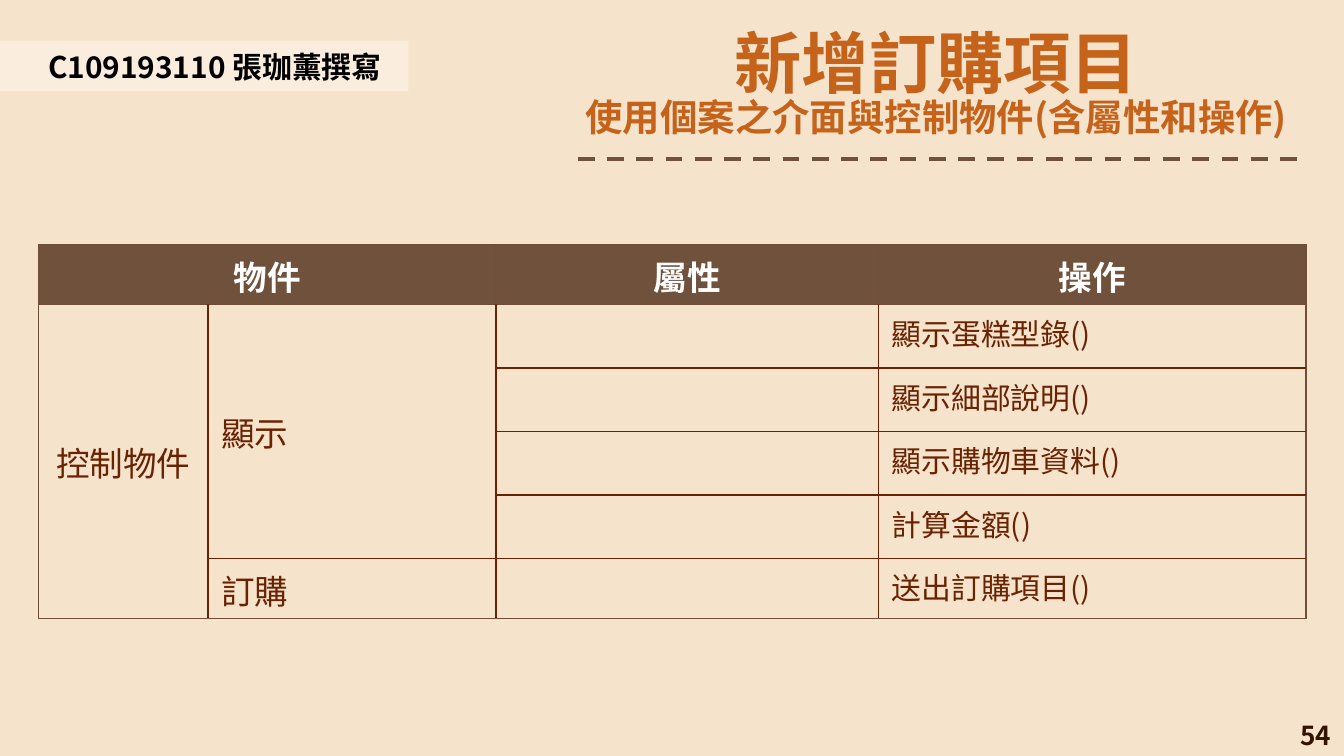
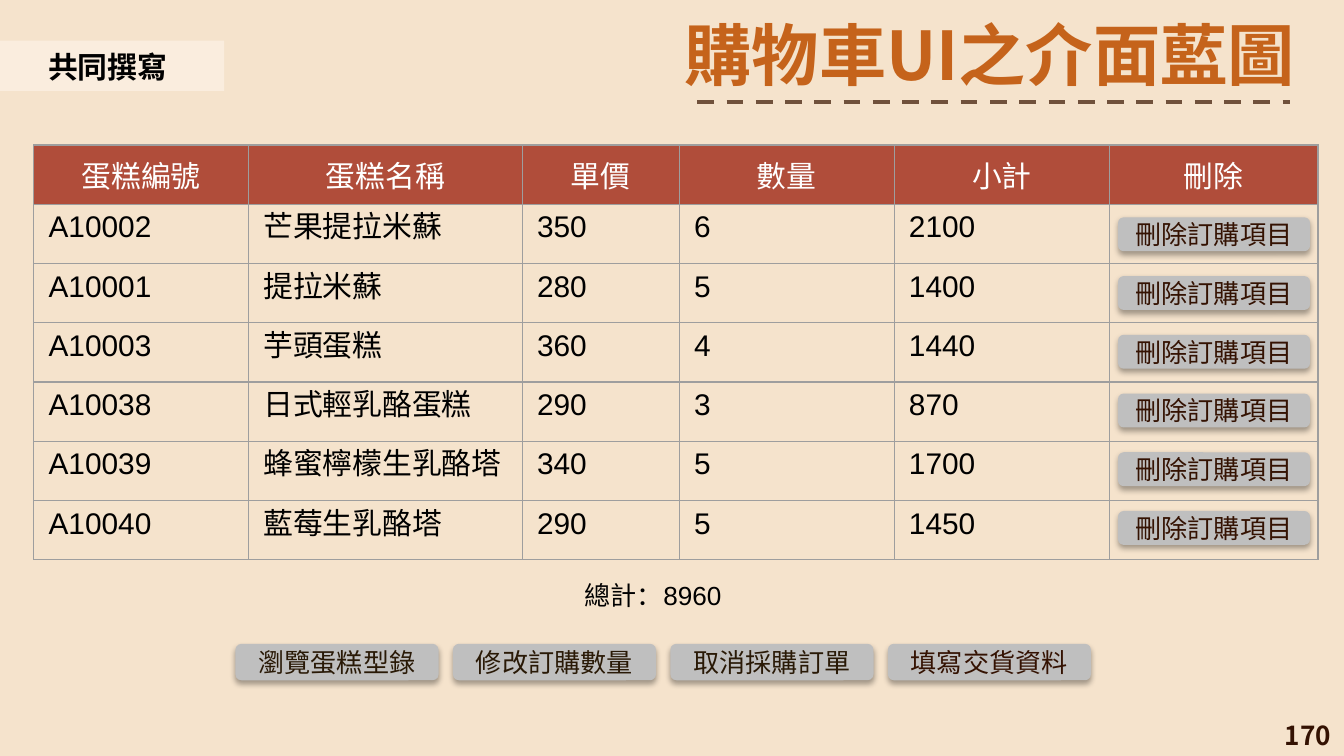
from dataclasses import dataclass
from typing import NamedTuple

from lxml import etree
from pptx import Presentation
from pptx import util as u
from pptx.dml.color import RGBColor
from pptx.enum import dml, shapes, text
from pptx.oxml.ns import qn

# Shared look
SANS, ARIAL = "Noto Sans CJK SC", "Arial"
CREAM, BAND, ORANGE, BROWN = "F5E3CC", "FAEDDE", "C5631B", "70513B"
TRIM, RUST, BRICK, GRID = "6F4F38", "692303", "B04D3A", "9E9E9E"
GREY, INK, OLIVE, BLACK, WHITE = "BFBFBF", "341202", "291906", "000000", "FFFFFF"
LEFT, CENTER, RIGHT, JUSTIFY = (text.PP_ALIGN.LEFT, text.PP_ALIGN.CENTER,
                                text.PP_ALIGN.RIGHT, text.PP_ALIGN.JUSTIFY)
TOP, MIDDLE = text.MSO_ANCHOR.TOP, text.MSO_ANCHOR.MIDDLE


class Box(NamedTuple):
    """Left, top, width and height in centimetres."""
    x: float
    y: float
    w: float
    h: float

    def emu(self) -> list:
        return [u.Cm(v) for v in self]


class Edge(NamedTuple):
    color: str
    width: float


@dataclass
class Heading:
    title: str
    box: Box
    rule_y: float
    rule_x: tuple[float, float]
    subtitle: str = ""


@dataclass
class Author:
    name: str
    band_w: float
    label_w: float


@dataclass
class Button:
    label: str
    box: Box
    color: str = INK


def rgb(color: str) -> RGBColor:
    return RGBColor.from_string(color)


def write(p, words: str, *, size: float, color: str, font: str = SANS,
          bold: bool = False, align=LEFT, spacing: float = 1.0) -> None:
    """Add one formatted run to a paragraph."""
    p.alignment, p.line_spacing = align, spacing
    r = p.add_run()
    r.text = words
    r.font.size, r.font.bold, r.font.name = u.Pt(size), bold, font
    r.font.color.rgb = rgb(color)
    etree.SubElement(r.font._element, qn("a:ea"), typeface=font)


def add_label(s, box: Box, words: str, anchor=TOP, **fmt) -> None:
    tf = s.shapes.add_textbox(*box.emu()).text_frame
    tf.word_wrap, tf.vertical_anchor = True, anchor
    write(tf.paragraphs[0], words, **fmt)


def add_block(s, kind, box: Box, fill: str):
    sp = s.shapes.add_shape(kind, *box.emu())
    sp.shadow.inherit = False
    sp.fill.solid()
    sp.fill.fore_color.rgb = rgb(fill)
    sp.line.fill.background()
    return sp


def add_heading(s, head: Heading) -> None:
    """Format the title placeholder and draw the dashed rule under it."""
    sp = s.shapes.title
    sp.left, sp.top, sp.width, sp.height = head.box.emu()
    tf = sp.text_frame
    tf.word_wrap, tf.vertical_anchor = True, TOP
    tf.auto_size = text.MSO_AUTO_SIZE.NONE
    tf.margin_left = tf.margin_right = tf.margin_top = tf.margin_bottom = u.Cm(0.25)
    fmt = dict(color=ORANGE, bold=True, align=CENTER)
    write(tf.paragraphs[0], head.title, size=36, spacing=0.9, **fmt)
    if head.subtitle:
        write(tf.add_paragraph(), head.subtitle, size=20, spacing=0.8, **fmt)

    x1, x2 = (u.Cm(x) for x in head.rule_x)
    y = u.Cm(head.rule_y)
    rule = s.shapes.add_connector(shapes.MSO_CONNECTOR.STRAIGHT, x1, y, x2, y)
    rule.line.color.rgb, rule.line.width = rgb(BROWN), u.Pt(2.25)
    rule.line.dash_style = dml.MSO_LINE.DASH
    etree.SubElement(rule._element.spPr, qn("a:effectLst"))


def add_slide(prs, number: int, head: Heading, author: Author):
    """Start a slide with its page number, heading and author band."""
    s = prs.slides.add_slide(prs.slide_layouts[5])
    add_label(s, Box(19.69, 13.51, 5.72, 0.76), str(number), MIDDLE,
              size=14, color=INK, bold=True, align=RIGHT)
    add_heading(s, head)
    add_block(s, shapes.MSO_SHAPE.RECTANGLE, Box(0, 0.77, author.band_w, 0.95), BAND)
    add_label(s, Box(0.66, 0.79, author.label_w, 0.94), author.name,
              size=16, color=BLACK, bold=True)
    return s


def add_button(s, button: Button) -> None:
    sp = add_block(s, shapes.MSO_SHAPE.ROUNDED_RECTANGLE, button.box, GREY)
    effects = sp._element.spPr.find(qn("a:effectLst"))
    shadow = etree.SubElement(effects, qn("a:outerShdw"), blurRad=str(u.Pt(3.1)),
                              dist=str(u.Pt(1.8)), dir="5400000", rotWithShape="0")
    tone = etree.SubElement(shadow, qn("a:srgbClr"), val=BLACK)
    etree.SubElement(tone, qn("a:alpha"), val="35000")
    sp.text_frame.vertical_anchor = MIDDLE
    write(sp.text_frame.paragraphs[0], button.label, size=14, color=button.color,
          font=ARIAL, align=CENTER)


# Tables
def add_grid(s, x: float, y: float, cols: list[float], rows: list[float]):
    box = Box(x, y, sum(cols), sum(rows))
    tbl = s.shapes.add_table(len(rows), len(cols), *box.emu()).table
    tbl.first_row = tbl.horz_banding = False
    for col, w in zip(tbl.columns, cols):
        col.width = u.Cm(w)
    for row, h in zip(tbl.rows, rows):
        row.height = u.Cm(h)
    return tbl


def style_cell(cell, fill: str | None, edges: list[Edge]) -> None:
    """Set the fill and the left, right, top and bottom borders."""
    if fill:
        cell.fill.solid()
        cell.fill.fore_color.rgb = rgb(fill)
    else:
        cell.fill.background()
    tcPr = cell._tc.get_or_add_tcPr()
    for i, (side, edge) in enumerate(zip("LRTB", edges)):
        ln = etree.Element(qn(f"a:ln{side}"), w=str(u.Pt(edge.width)))
        solid = etree.SubElement(ln, qn("a:solidFill"))
        etree.SubElement(solid, qn("a:srgbClr"), val=edge.color)
        tcPr.insert(i, ln)


def build_objects(prs) -> None:
    s = add_slide(
        prs, 54,
        Heading("新增訂購項目", Box(10.19, 0.33, 15.01, 2.77), 3.0, (10.92, 24.61),
                "使用個案之介面與控制物件(含屬性和操作)"),
        Author("C109193110 張珈薰撰寫", 7.72, 7.04))
    tbl = add_grid(s, 0.73, 4.62, [3.2, 5.44, 7.23, 8.08],
                   [1.14, 1.2, 1.2, 1.2, 1.2, 1.14])
    for first, last in (((0, 0), (0, 1)), ((1, 0), (5, 0)), ((1, 1), (4, 1))):
        tbl.cell(*first).merge(tbl.cell(*last))

    # Trim around the header and the outside, rust lines within
    outer, inner = Edge(TRIM, 0.75), Edge(RUST, 1)
    for r in range(6):
        for c in range(4):
            cell = tbl.cell(r, c)
            on_edge = (c == 0, c == 3, r <= 1, r + cell.span_height >= 6)
            style_cell(cell, None if r else BROWN,
                       [outer if r == 0 or e else inner for e in on_edge])

    for c, name in ((0, "物件"), (2, "屬性"), (3, "操作")):
        write(tbl.cell(0, c).text_frame.paragraphs[0], name,
              size=18, color=WHITE, bold=True, align=CENTER)
    for r, c, name in ((1, 0, "控制物件"), (1, 1, "顯示"), (5, 1, "訂購")):
        cell = tbl.cell(r, c)
        cell.vertical_anchor = MIDDLE
        write(cell.text_frame.paragraphs[0], name, size=18, color=RUST,
              align=LEFT if c else CENTER)
    tbl.cell(1, 0)._tc.get_or_add_tcPr().set("vert", "eaVert")
    operations = ["顯示蛋糕型錄()", "顯示細部說明()", "顯示購物車資料()",
                  "計算金額()", "送出訂購項目()"]
    for r, name in enumerate(operations, 1):
        write(tbl.cell(r, 3).text_frame.paragraphs[0], name, size=16, color=RUST)


def build_cart(prs) -> None:
    s = add_slide(
        prs, 170,
        Heading("購物車UI之介面藍圖", Box(11.2, 0.18, 15.01, 1.88), 1.93, (13.18, 24.38)),
        Author("共同撰寫", 4.24, 2.9))

    # Cart contents
    cart = [
        ("蛋糕編號", "蛋糕名稱", "單價", "數量", "小計", "刪除"),
        ("A10002", "芒果提拉米蘇", "350", "6", "2100", ""),
        ("A10001", "提拉米蘇", "280", "5", "1400", ""),
        ("A10003", "芋頭蛋糕", "360", "4", "1440", ""),
        ("A10038", "日式輕乳酪蛋糕", "290", "3", "870", ""),
        ("A10039", "蜂蜜檸檬生乳酪塔", "340", "5", "1700", ""),
        ("A10040", "藍莓生乳酪塔", "290", "5", "1450", ""),
    ]
    tbl = add_grid(s, 0.64, 2.74, [4.06, 5.17, 2.97, 4.06, 4.07, 3.94],
                   [1.12] * len(cart))
    header = dict(color=WHITE, align=CENTER)
    body = dict(color=BLACK, font=ARIAL, align=JUSTIFY)
    for r, values in enumerate(cart):
        for c, value in enumerate(values):
            cell = tbl.cell(r, c)
            style_cell(cell, None if r else BRICK, [Edge(GRID, 0.75)] * 4)
            cell.margin_left = cell.margin_right = u.Cm(0.28)
            cell.margin_top = cell.margin_bottom = u.Cm(0.13)
            cell.vertical_anchor = TOP if r else MIDDLE
            if value:
                write(cell.text_frame.paragraphs[0], value, size=16,
                      **(body if r else header))
    add_label(s, Box(10.8, 10.82, 3.4, 0.86), "總計：8960",
              size=14, color=BLACK, font=ARIAL)

    # Cart actions, then one delete button per cake
    actions = [("瀏覽蛋糕型錄", OLIVE), ("修改訂購數量", OLIVE),
               ("取消採購訂單", OLIVE), ("填寫交貨資料", INK)]
    for i, (label, color) in enumerate(actions):
        add_button(s, Button(label, Box(4.45 + 4.11 * i, 12.17, 3.84, 0.69), color))
    for i in range(len(cart) - 1):
        add_button(s, Button("刪除訂購項目", Box(21.13, 4.11 + 1.11 * i, 3.63, 0.64)))


def main() -> None:
    prs = Presentation()
    prs.slide_width, prs.slide_height = u.Cm(25.4), u.Cm(14.29)
    backdrop = prs.slide_master.background.fill
    backdrop.solid()
    backdrop.fore_color.rgb = rgb(CREAM)
    build_objects(prs)
    build_cart(prs)
    prs.save("out.pptx")


if __name__ == "__main__":
    main()
